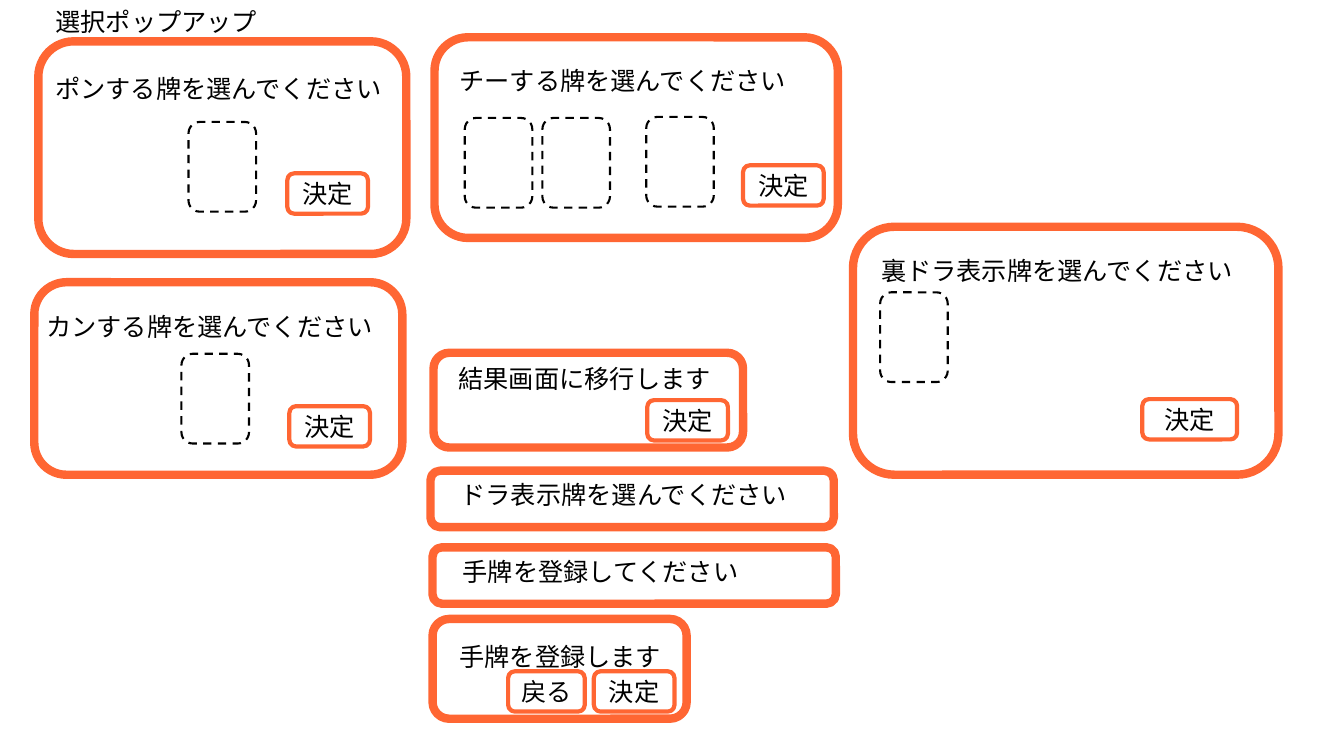
from lxml.etree import SubElement
from pptx import Presentation
from pptx.dml.color import RGBColor
from pptx.enum.dml import MSO_LINE
from pptx.enum.shapes import MSO_SHAPE
from pptx.enum.text import MSO_ANCHOR, PP_ALIGN
from pptx.oxml.ns import qn
from pptx.util import Inches, Pt

COLORS = {"frame": "FF6633", "paper": "FFFFFF", "ink": "000000"}
FONT = "Noto Sans CJK JP"
UNIT = Inches(0.1)
TILE = (6.7, 8.9)
ROW = 4
TITLE = ("選択ポップアップ", (4.5, 0.1, 23.4, ROW))

# frame is in slide units; message, tiles and buttons are offsets from its corner
POPUPS = [
    {"frame": (43, 35, 30.7, 9.4),
     "message": ("結果画面に移行します", 1.5, 0.6, 27.6, ROW), "filled": True,
     "buttons": [("決定", 21.2, 4.7, 8)]},
    {"frame": (3.8, 4.1, 36.5, 21.1),
     "message": ("ポンする牌を選んでください", 0.7, 2.7, 35.5, ROW),
     "tiles": [(14.9, 8)], "buttons": [("決定", 24.7, 13.1, 8)]},
    {"frame": (43.1, 3.7, 40, 19.9),
     "message": ("チーする牌を選んでください", 1.5, 2.3, 37, ROW), "filled": True,
     "tiles": [(3, 8), (10.7, 8), (21, 7.9)],
     "buttons": [("決定", 30.6, 12.7, 8)]},
    {"frame": (3.4, 28, 36.5, 19.1),
     "message": ("カンする牌を選んでください", 0.2, 2.4, 35.5, ROW),
     "tiles": [(14.6, 7.1)], "buttons": [("決定", 25.3, 12.3, 8)]},
    {"frame": (42.7, 46.7, 40, 5.6),
     "message": ("ドラ表示牌を選んでください", 2, 0.4, 36, 4.2)},
    {"frame": (42.9, 54.3, 40, 5.6),
     "message": ("手牌を登録してください", 2, 0.4, 36, 4.2)},
    {"frame": (42.9, 61.4, 25.2, 9.9),
     "message": ("手牌を登録します", 1.7, 1.7, 23.4, ROW),
     "buttons": [("決定", 16, 5.2, 8), ("戻る", 7.5, 5.2, 7.6)]},
    {"frame": (84.6, 22.5, 42.2, 24.6),
     "message": ("裏ドラ表示牌を選んでください", 1.8, 2.3, 38.6, ROW), "filled": True,
     "tiles": [(2.7, 6.5)], "buttons": [("決定", 28.7, 17.1, 9.4)]},
]


def rgb(name):
    return RGBColor.from_string(COLORS[name])


def place(*box):
    return [round(v * UNIT) for v in box]


def write(s, text, align=PP_ALIGN.LEFT, anchor=MSO_ANCHOR.TOP):
    tf = s.text_frame
    for key, value in {"word_wrap": True, "vertical_anchor": anchor}.items():
        setattr(tf, key, value)
    p = tf.paragraphs[0]
    p.alignment = align
    r = p.add_run()
    r.text = text
    for key, value in {"size": Pt(18), "name": FONT}.items():
        setattr(r.font, key, value)
    r.font.color.rgb = rgb("ink")
    SubElement(r.font._element, qn("a:ea")).set("typeface", FONT)


def add_box(sp, box, color, width, dash=None):
    s = sp.add_shape(MSO_SHAPE.ROUNDED_RECTANGLE, *place(*box))
    s.shadow.inherit = False
    s.fill.solid()
    s.fill.fore_color.rgb = rgb("paper")
    s.line.color.rgb = rgb(color)
    s.line.width = Pt(width)
    if dash:
        s.line.dash_style = dash
    return s


def add_popup(sp, popup):
    x, y, w, h = popup["frame"]
    add_box(sp, popup["frame"], "frame", 6)
    text, dx, dy, mw, mh = popup["message"]
    s = sp.add_textbox(*place(x + dx, y + dy, mw, mh))
    if popup.get("filled"):
        s.fill.solid()
        s.fill.fore_color.rgb = rgb("paper")
    write(s, text)
    for dx, dy in popup.get("tiles", []):
        add_box(sp, (x + dx, y + dy, *TILE), "ink", 1.5, MSO_LINE.DASH)
    for label, dx, dy, bw in popup.get("buttons", []):
        s = add_box(sp, (x + dx, y + dy, bw, ROW), "frame", 3)
        write(s, label, PP_ALIGN.CENTER, MSO_ANCHOR.MIDDLE)


def main():
    prs = Presentation()
    prs.slide_width, prs.slide_height = Inches(13.33), Inches(7.5)
    slide = prs.slides.add_slide(prs.slide_layouts[5])
    title = slide.shapes.title
    text, box = TITLE
    title.left, title.top, title.width, title.height = place(*box)
    write(title, text)
    for popup in POPUPS:
        add_popup(slide.shapes.add_group_shape().shapes, popup)
    prs.save("out.pptx")


if __name__ == "__main__":
    main()
